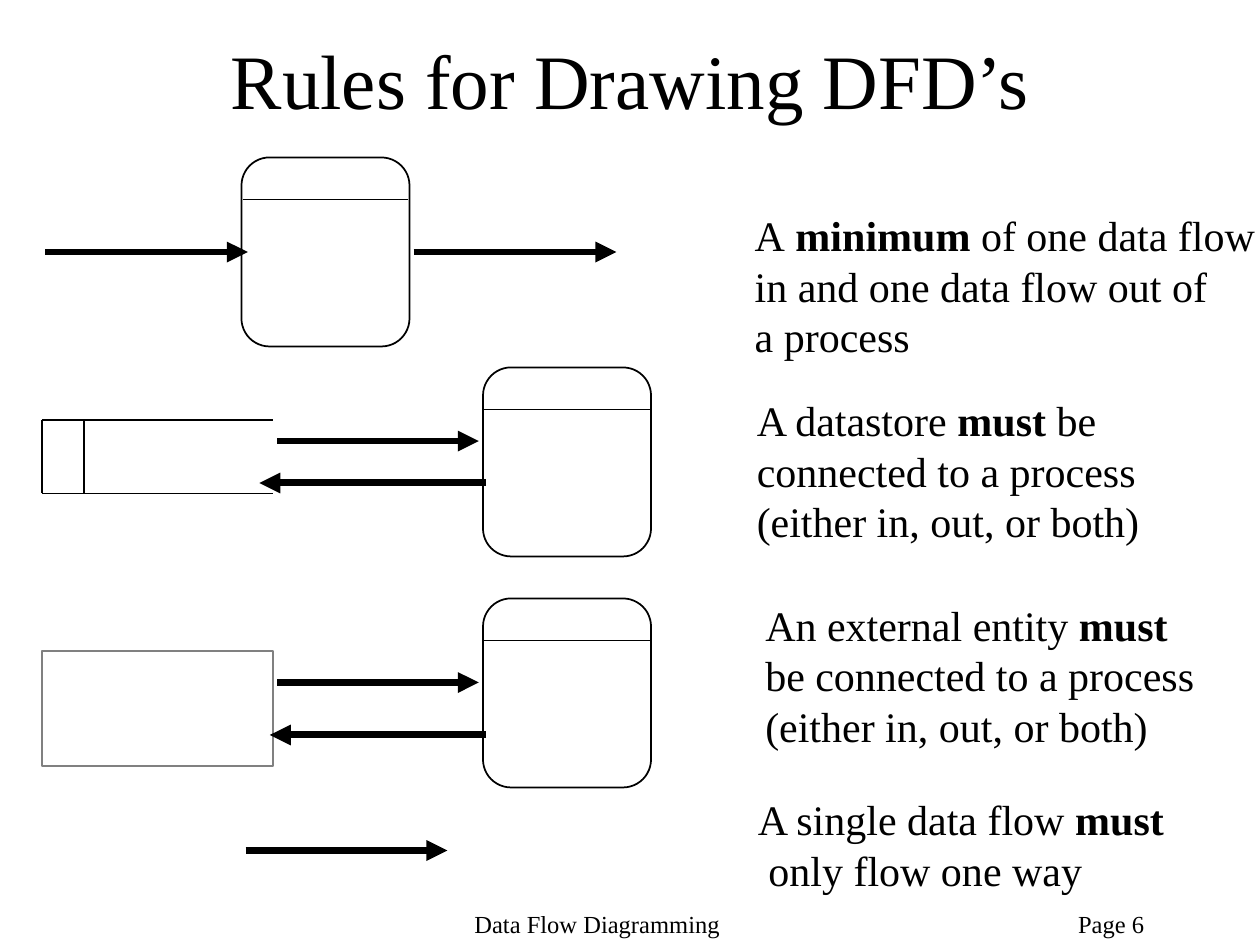
from dataclasses import dataclass

from lxml.etree import SubElement
from pptx import Presentation
from pptx.dml.color import RGBColor
from pptx.enum.shapes import MSO_CONNECTOR, MSO_SHAPE
from pptx.enum.text import MSO_ANCHOR, MSO_AUTO_SIZE, PP_ALIGN
from pptx.oxml.ns import qn
from pptx.util import Inches, Pt


@dataclass(frozen=True)
class Theme:
    """Colours, type sizes and line weights of the slide."""
    font: str = "Times New Roman"
    ink: RGBColor = RGBColor(0, 0, 0)
    grey: RGBColor = RGBColor(128, 128, 128)
    title: int = 44
    body: int = 24
    footer: int = 14
    outline: float = 1
    divider: float = 0.75
    flow: float = 4


@dataclass(frozen=True)
class Box:
    """A region measured in columns and rows of a 120 by 90 grid."""
    column: float
    row: float
    columns: float
    rows: float

    def inside(self, column, row, columns=0, rows=0):
        """Return a box placed relative to this one."""
        return Box(self.column + column, self.row + row, columns, rows)

    def frame(self):
        """Return left, top, width and height as lengths."""
        return [Inches(cells / 12) for cells in (self.column, self.row, self.columns, self.rows)]


THEME = Theme()
PAGE = Box(0, 0, 120, 90)


def add_run(paragraph, text, size, bold=False):
    """Add one run in the theme font."""
    run = paragraph.add_run()
    run.text = text
    run.font.name = THEME.font
    run.font.size = Pt(size)
    run.font.bold = bold
    run.font.color.rgb = THEME.ink


def add_text(slide, box, lines, size):
    """Add a text box; each line is a list of runs, bold at odd places."""
    frame = slide.shapes.add_textbox(*box.frame()).text_frame
    frame.word_wrap = False
    frame.auto_size = MSO_AUTO_SIZE.SHAPE_TO_FIT_TEXT
    for index, runs in enumerate(lines):
        paragraph = frame.add_paragraph() if index else frame.paragraphs[0]
        for place, text in enumerate(runs):
            add_run(paragraph, text, size, bold=place % 2 == 1)


def add_line(slide, box, weight, arrow=False):
    """Draw a line from the box's origin across its extent."""
    left, top, width, height = box.frame()
    line = slide.shapes.add_connector(
        MSO_CONNECTOR.STRAIGHT, left, top, left + width, top + height)
    line.line.color.rgb = THEME.ink
    line.line.width = Pt(weight)
    if arrow:
        SubElement(line.line._get_or_add_ln(), qn("a:tailEnd"), type="triangle")
    SubElement(line._element.spPr, qn("a:effectLst"))


def add_outline(slide, box, preset, color):
    """Draw an unfilled shape."""
    shape = slide.shapes.add_shape(preset, *box.frame())
    shape.shadow.inherit = False
    shape.fill.background()
    shape.line.color.rgb = color
    shape.line.width = Pt(THEME.outline)


def add_process(slide, box):
    """Draw a process: a rounded box with a header line."""
    add_outline(slide, box, MSO_SHAPE.ROUNDED_RECTANGLE, THEME.ink)
    add_line(slide, box.inside(0.1, 4, box.columns - 0.2), THEME.outline)


def add_datastore(slide, box):
    """Draw a datastore: an open-ended box with an identifier cell."""
    for row in (0, box.rows):
        add_line(slide, box.inside(0, row, box.columns), THEME.outline)
    for column, weight in ((0, THEME.outline), (4, THEME.divider)):
        add_line(slide, box.inside(column, 0, 0, box.rows), weight)


def add_flow(slide, box, start, end, row):
    """Draw a data flow between two columns of the box."""
    add_line(slide, box.inside(start, row, end - start), THEME.flow, arrow=True)


def draw_process_rule(slide, box):
    """Draw a process with one flow in and one flow out."""
    add_process(slide, box.inside(19, 0, 16, 18))
    add_flow(slide, box, 0.3, 19.6, 9)
    add_flow(slide, box, 35.4, 54.7, 9)
    lines = [["A", " minimum", " of one data flow"], ["in and one data flow out of"], ["a process"]]
    add_text(slide, box.inside(66.7, 4.4, 50.6, 15.6), lines, THEME.body)


def draw_datastore_rule(slide, box):
    """Draw a datastore connected to a process."""
    add_datastore(slide, box.inside(0, 5, 22, 7))
    add_process(slide, box.inside(42, 0, 16, 18))
    add_flow(slide, box, 22.4, 41.6, 7)
    add_flow(slide, box, 42.3, 20.7, 11)
    lines = [["A datastore ", "must ", "be"], ["connected to a process"], ["(either in, out, or both)"]]
    add_text(slide, box.inside(66.9, 2, 39.4, 15.6), lines, THEME.body)


def draw_entity_rule(slide, box):
    """Draw an external entity connected to a process."""
    add_outline(slide, box.inside(0, 5, 22, 11), MSO_SHAPE.RECTANGLE, THEME.grey)
    add_process(slide, box.inside(42, 0, 16, 18))
    add_flow(slide, box, 22.4, 41.6, 8)
    add_flow(slide, box, 42.3, 21.7, 13)
    lines = [["An external entity ", "must"], ["be connected to a process"], ["(either in, out, or both)"]]
    add_text(slide, box.inside(67.7, -0.5, 43.8, 15.6), lines, THEME.body)


def draw_direction_rule(slide, box):
    """Draw a single one-way flow."""
    add_flow(slide, box, 19.4, 38.6, 6)
    lines = [["A single data flow ", "must"], [" only flow one way"]]
    add_text(slide, box.inside(67, 0, 41.9, 10.8), lines, THEME.body)


def fill_title(slide, box):
    """Place and fill the title placeholder."""
    title = slide.shapes.title
    title.left, title.top, title.width, title.height = box.frame()
    title.text_frame.vertical_anchor = MSO_ANCHOR.MIDDLE
    paragraph = title.text_frame.paragraphs[0]
    paragraph.alignment = PP_ALIGN.CENTER
    add_run(paragraph, "Rules for Drawing DFD’s", THEME.title)


def add_footer(slide, box):
    """Add the deck name and page number."""
    add_text(slide, box.inside(44, 0, 25.8, 4), [["Data Flow Diagramming"]], THEME.footer)
    add_text(slide, box.inside(101.5, 0, 17.3, 4), [["Page 6"]], THEME.footer)


def main():
    """Build and save the slide."""
    presentation = Presentation()
    _, _, presentation.slide_width, presentation.slide_height = PAGE.frame()
    slide = presentation.slides.add_slide(presentation.slide_layouts[5])
    fill_title(slide, PAGE.inside(9, 0, 102, 15))
    rules = ((draw_process_rule, 15, 18), (draw_datastore_rule, 35, 18),
             (draw_entity_rule, 57, 18), (draw_direction_rule, 75, 11))
    for draw, row, rows in rules:
        draw(slide, PAGE.inside(4, row, 116, rows))
    add_footer(slide, PAGE.inside(0, 86, 120, 4))
    presentation.save("out.pptx")


if __name__ == "__main__":
    main()
